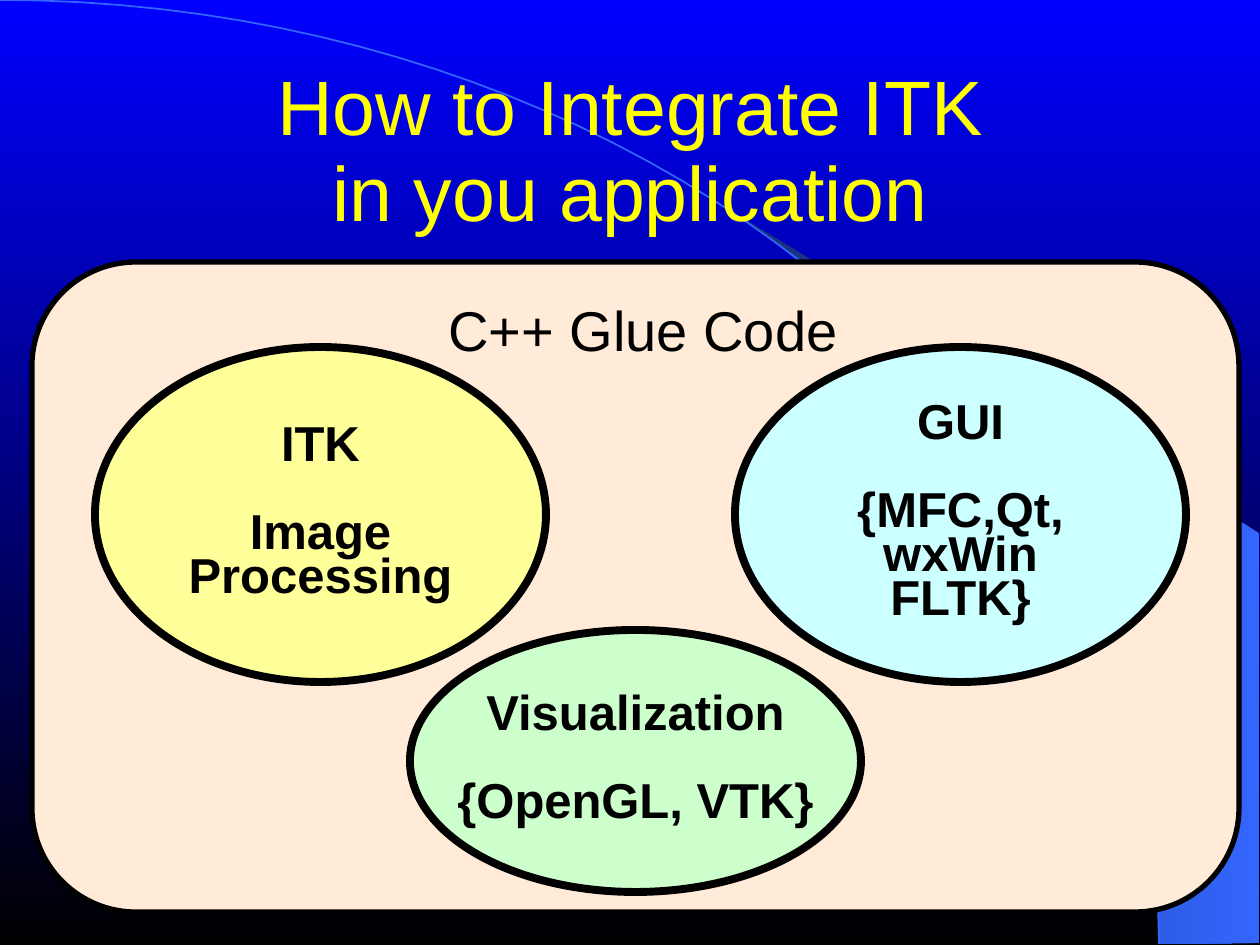
from math import cos, radians, sin

from pptx import Presentation
from pptx.dml.color import RGBColor
from pptx.enum.shapes import MSO_SHAPE
from pptx.enum.text import MSO_ANCHOR, MSO_AUTO_SIZE, PP_ALIGN
from pptx.util import Emu, Pt

PX = 914400 / 126
COLORS = {
    "blue": "0000FF", "black": "000000", "sky": "3366FF", "navy": "172F75",
    "peach": "FFEBD7", "title": "FFFF00",
    "yellow": "FFFF99", "cyan": "CCFFFF", "green": "CCFFCC",
}

TITLE = "How to Integrate ITK\vin you application"
TITLE_BOX = (95, 57, 1071, 191)
PANEL_BOX = (32, 262, 1207, 650)
CAPTION = "C++ Glue Code"
CAPTION_BOX = (436, 295, 415, 76)
# ellipse box, colour, text box size, heading and details
COMPONENTS = [
    ((95, 347, 451, 335), "yellow", (289, 189), ["ITK", "Image", "Processing"]),
    ((735, 347, 451, 335), "cyan", (232, 233), ["GUI", "{MFC,Qt,", "wxWin", "FLTK}"]),
    ((410, 630, 451, 262), "green", (381, 145), ["Visualization", "{OpenGL, VTK}"]),
]
ARC_RADII = (1159, 944)
WEDGE_CORNERS = [(1259, 943), (1259, 533), (742, 218)]


def px(value):
    return Emu(round(value * PX))


def color(name):
    return RGBColor.from_string(COLORS[name])


def set_gradient(fill, names, angle):
    fill.gradient()
    fill.gradient_angle = angle
    for stop, name in zip(fill.gradient_stops, names):
        stop.color.rgb = color(name)


def arc_points(first_degree):
    """Points on the ellipse centred at the lower left, from a clock angle to 90."""
    radius_x, radius_y = ARC_RADII
    angles = [radians(degree) for degree in range(first_degree, 91, 2)]
    return [(radius_x * sin(a), radius_y * (1 - cos(a))) for a in angles]


def add_outline(shapes, points, close):
    points = [(px(x), px(y)) for x, y in points]
    builder = shapes.build_freeform(*points[0], scale=1.0)
    builder.add_line_segments(points[1:], close=close)
    shape = builder.convert_to_shape()
    shape.shadow.inherit = False
    return shape


def add_filled_shape(shapes, kind, box, fill, line_width):
    shape = shapes.add_shape(kind, *map(px, box))
    shape.shadow.inherit = False
    shape.fill.solid()
    shape.fill.fore_color.rgb = color(fill)
    shape.line.color.rgb = color("black")
    shape.line.width = Pt(line_width)
    return shape


def write_text(frame, lines, size, fill="black", bold=False, spacing=0.93,
               align=PP_ALIGN.CENTER, anchor=MSO_ANCHOR.MIDDLE, wrap=False,
               heading_gap=0):
    frame.word_wrap = wrap
    frame.auto_size = MSO_AUTO_SIZE.NONE
    frame.vertical_anchor = anchor
    for index, line in enumerate(lines):
        paragraph = frame.add_paragraph() if index else frame.paragraphs[0]
        paragraph.text = line
        paragraph.alignment = align
        paragraph.line_spacing = spacing
        if index == 1:
            paragraph.space_before = Pt(heading_gap)
        for run in paragraph.runs:
            run.font.name = "Arial"
            run.font.size = Pt(size)
            run.font.bold = bold
            run.font.color.rgb = color(fill)


def add_component(shapes, box, fill, text_size, lines):
    left, top, width, height = box
    text_width, text_height = text_size
    text_box = (left + (width - text_width) / 2, top + (height - text_height) / 2,
                text_width, text_height)
    add_filled_shape(shapes, MSO_SHAPE.OVAL, box, fill, 4.5)
    label = shapes.add_textbox(*map(px, text_box))
    write_text(label.text_frame, lines, 28, bold=True, spacing=0.75, heading_gap=25)


def main():
    presentation = Presentation()
    presentation.slide_width, presentation.slide_height = px(1260), px(945)
    slide = presentation.slides.add_slide(presentation.slide_layouts[5])
    shapes = slide.shapes
    set_gradient(slide.background.fill, ["blue", "black"], 270)

    wedge = add_outline(shapes, arc_points(40) + WEDGE_CORNERS, close=True)
    set_gradient(wedge.fill, ["sky", "navy"], 180)
    wedge.line.fill.background()
    arc = add_outline(shapes, arc_points(0), close=False)
    arc.fill.background()
    arc.line.color.rgb = color("sky")
    arc.line.width = Pt(1)

    panel = add_filled_shape(shapes, MSO_SHAPE.ROUNDED_RECTANGLE, PANEL_BOX, "peach", 3)
    panel.adjustments[0] = 0.16
    caption = shapes.add_textbox(*map(px, CAPTION_BOX))
    write_text(caption.text_frame, [CAPTION], 32, align=PP_ALIGN.LEFT,
               anchor=MSO_ANCHOR.TOP)

    title = shapes.title
    title.left, title.top, title.width, title.height = map(px, TITLE_BOX)
    write_text(title.text_frame, [TITLE], 44, fill="title", wrap=True)
    # The title stands in front of the arc
    title.element.getparent().append(title.element)

    for component in COMPONENTS:
        add_component(shapes, *component)
    presentation.save("out.pptx")


if __name__ == "__main__":
    main()
